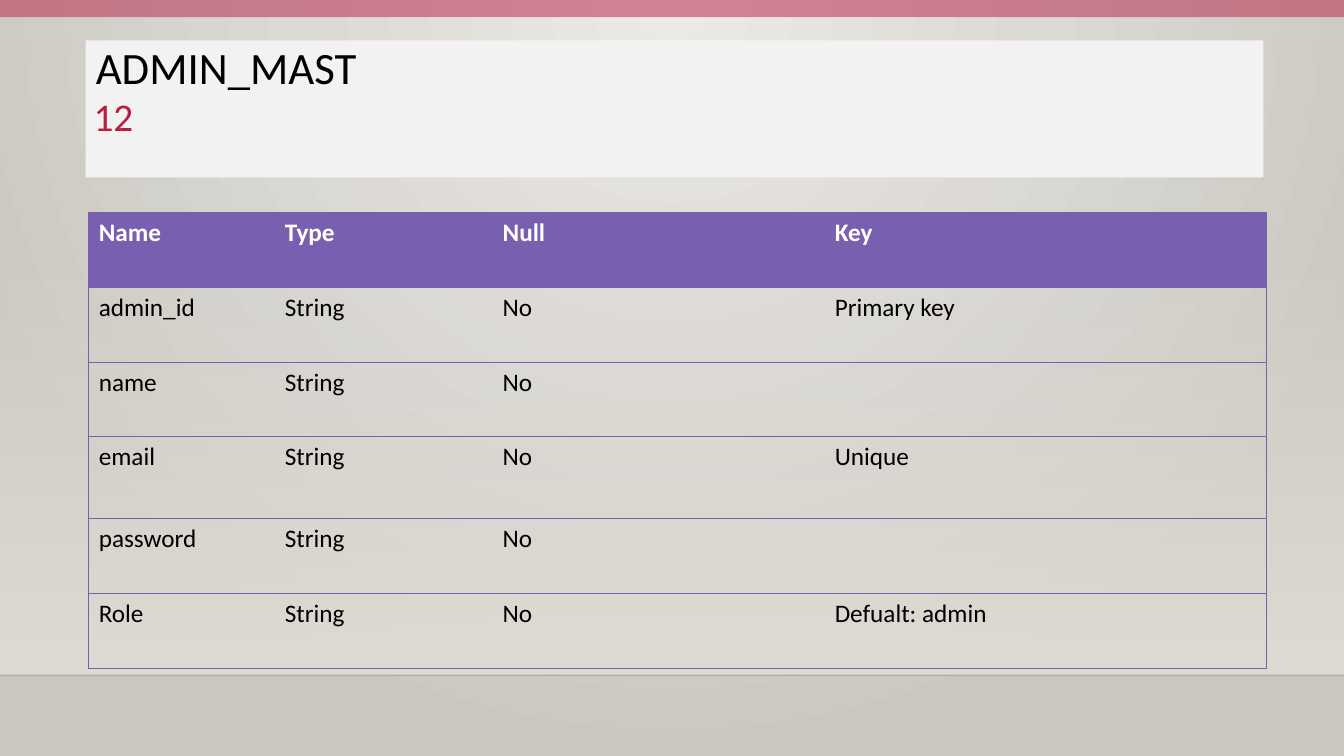
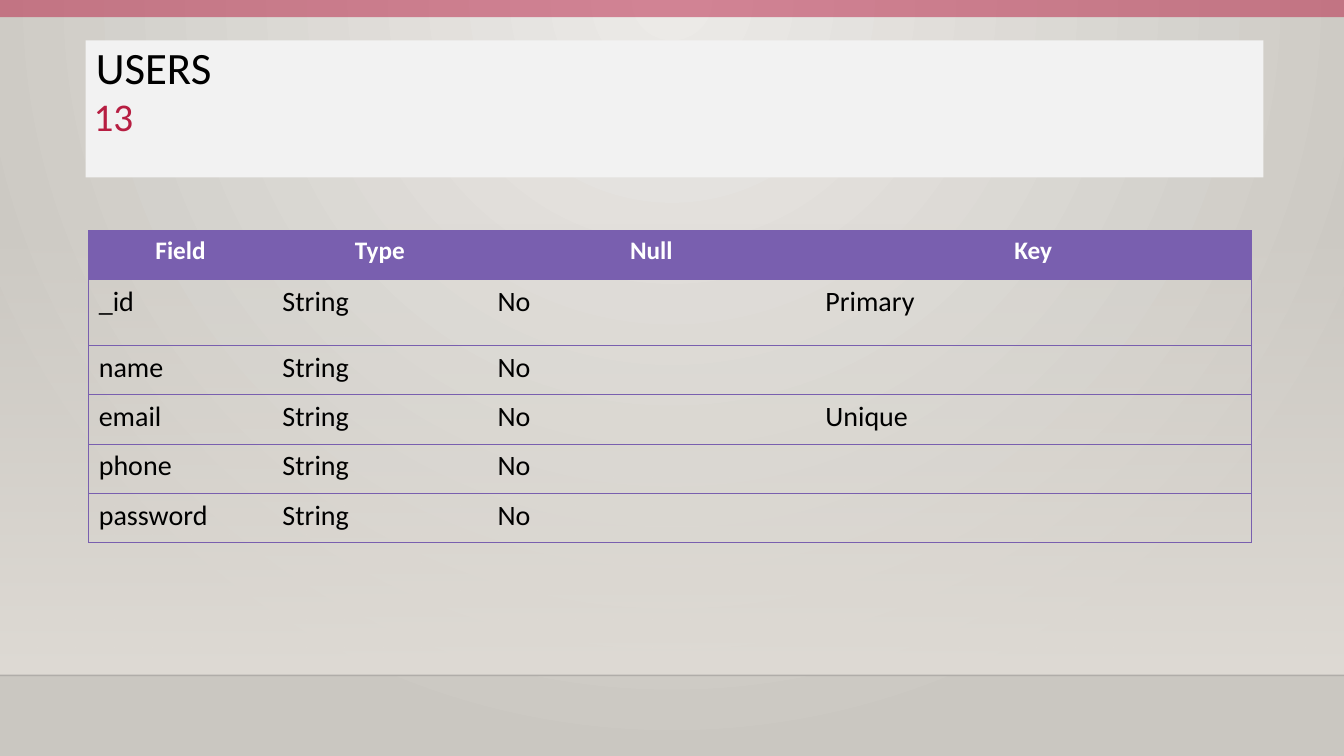
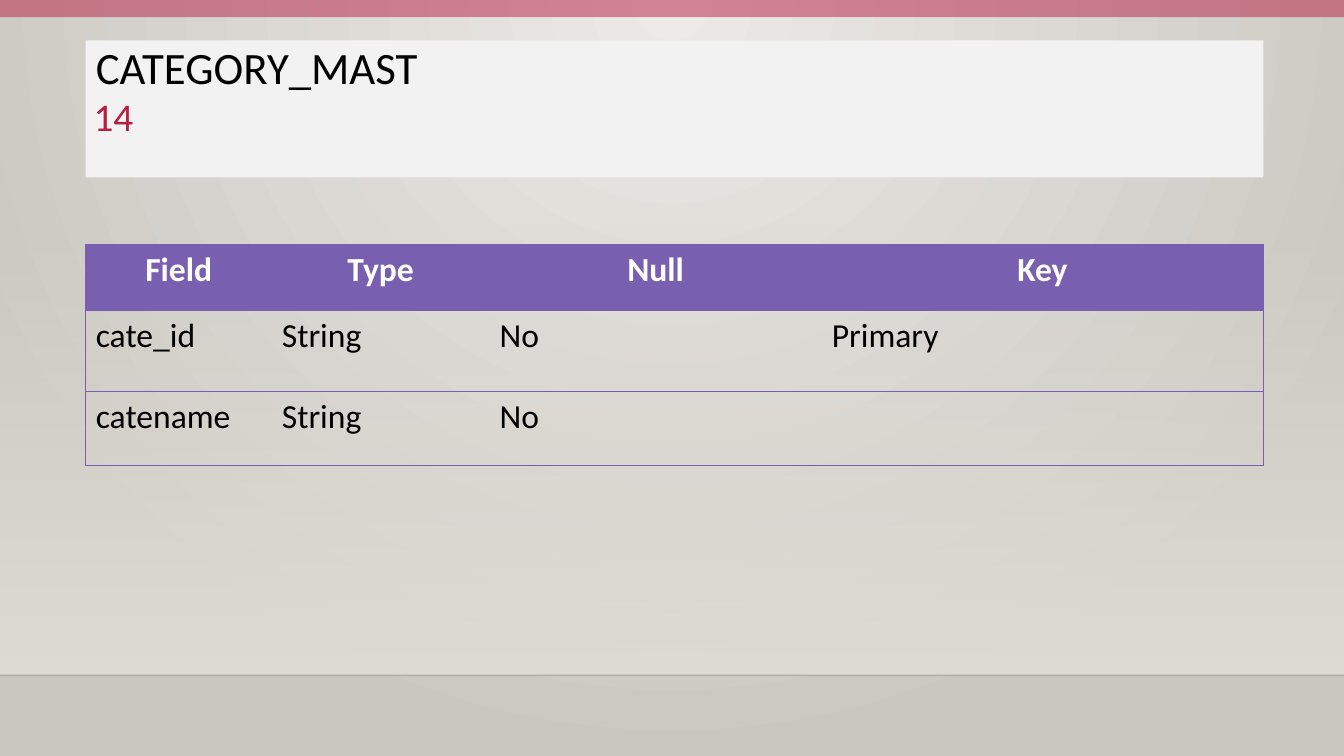
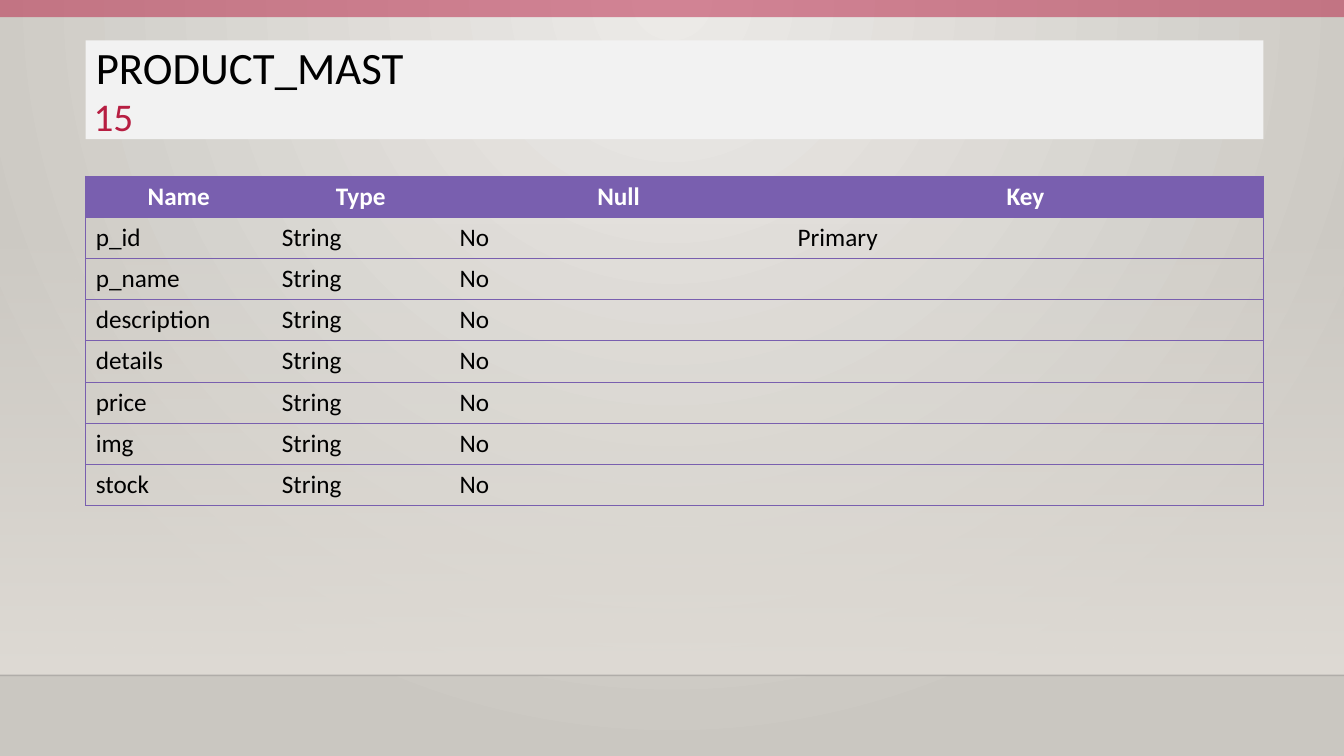
from lxml.etree import SubElement
from pptx import Presentation
from pptx.dml.color import RGBColor
from pptx.enum.shapes import MSO_CONNECTOR as Connector, MSO_SHAPE as Shape
from pptx.enum.text import MSO_ANCHOR as Anchor, MSO_AUTO_SIZE as AutoSize, PP_ALIGN as Align
from pptx.oxml import parse_xml
from pptx.oxml.ns import nsdecls, qn
from pptx.util import Inches, Pt

WIDTH, HEIGHT = Inches(13.33), Inches(7.5)
FONT = "Calibri"
COLORS = {
    "glow": "ECEAE7", "edge": "CAC7C1", "wall": "DFDBD5", "floor_line": "000001",
    "accent": "B71E42", "title_box": "F2F2F2", "table": "795FAF",
    "dark": "000000", "light": "FFFFFF",
}
PLAIN_TABLE_STYLE = "{2D5ABB26-0587-4C30-8999-92F81FD0307C}"
TABLE_COLUMNS = (15.8, 18.5, 28.2, 37.5)  # percent of the table width


def color(name):
    return RGBColor.from_string(COLORS[name])


def area(left, top, width, height):
    """Turn percentages of the slide into a box."""
    return [int(share * side / 100) for share, side in
            zip((left, top, width, height), (WIDTH, HEIGHT) * 2)]


def write(frame, text, size=18, ink="dark", bold=False, align=Align.LEFT, spacing=None):
    paragraph = frame.paragraphs[0]
    paragraph.alignment = align
    paragraph.line_spacing = spacing
    run = paragraph.add_run()
    run.text = text
    run.font.name, run.font.size, run.font.bold = FONT, Pt(size), bold
    run.font.color.rgb = color(ink)


def gradient(stops, direction):
    """Build a gradient fill from (position, colour, opacity) stops, in percent."""
    marks = "".join(
        f'<a:gs pos="{position * 1000}"><a:srgbClr val="{COLORS[name]}">'
        f'<a:alpha val="{opacity * 1000}"/></a:srgbClr></a:gs>'
        for position, name, opacity in stops)
    return parse_xml(f'<a:gradFill {nsdecls("a")} rotWithShape="1">'
                     f'<a:gsLst>{marks}</a:gsLst>{direction}</a:gradFill>')


def swap_solid_fill(element, new_fill):
    solid = next(element.iter(qn("a:solidFill")))
    solid.getparent().replace(solid, new_fill)


def set_opacity(element, percent):
    for tint in element.iter(qn("a:srgbClr")):
        SubElement(tint, qn("a:alpha"), val=str(percent * 1000))


def add_block(shapes, box, fill):
    block = shapes.add_shape(Shape.RECTANGLE, *box)
    block.shadow.inherit = False
    block.fill.solid()
    block.fill.fore_color.rgb = color(fill)
    block.line.fill.background()
    return block


def decorate_layout(layout, slide):
    """Draw the room on a slide, then move it behind everything on the layout."""
    # Background glow
    layout.background.fill.solid()
    layout.background.fill.fore_color.rgb = color("edge")
    swap_solid_fill(layout.element, gradient(
        [(0, "glow", 100), (100, "edge", 100)],
        '<a:path path="circle"><a:fillToRect l="43000" t="0" r="43000" b="100000"/></a:path>'))

    # Wall, fading in downwards
    wall = add_block(slide.shapes, area(0, 29.5, 100, 59.83), "wall")
    swap_solid_fill(wall.element.spPr, gradient(
        [(0, "wall", 0), (100, "wall", 100)], '<a:lin ang="5400000" scaled="0"/>'))

    # Floor line
    _, floor, right, _ = area(0, 89.33, 100, 0)
    line = slide.shapes.add_connector(Connector.STRAIGHT, 0, floor, right, floor)
    line.line.color.rgb = color("floor_line")
    line.line.width = Pt(1)
    set_opacity(line.element.spPr, 20)
    SubElement(line.element.spPr, qn("a:effectLst"))

    # Top band
    band = add_block(slide.shapes, area(0, 0, 100, 2.27), "accent")
    set_opacity(band.element.spPr, 50)

    for index, shape in enumerate((wall, line, band), start=2):
        layout.shapes.element.insert(index, shape.element)


def add_heading(slide, box, text, number):
    # Title panel
    title = slide.shapes.title
    title.left, title.top, title.width, title.height = box
    title.fill.solid()
    title.fill.fore_color.rgb = color("title_box")
    title.text_frame.auto_size = AutoSize.NONE
    title.text_frame.vertical_anchor = Anchor.TOP
    write(title.text_frame, text, size=32, spacing=0.9)

    # Slide number, hanging over the panel's left edge
    left, top = box[:2]
    _, drop, width, height = area(0, 6.27, 6.68, 7.33)
    number_box = slide.shapes.add_textbox(left - int(width * 0.36), top + drop, width, height)
    number_box.text_frame.word_wrap = True
    write(number_box.text_frame, str(number), size=28, ink="accent", align=Align.RIGHT)


def rule_cell(cell, sides):
    properties = cell._tc.get_or_add_tcPr()
    for index, side in enumerate(sides):
        properties.insert(index, parse_xml(
            f'<a:ln{side} {nsdecls("a")} w="9525"><a:solidFill>'
            f'<a:srgbClr val="{COLORS["table"]}"/></a:solidFill></a:ln{side}>'))


def add_field_table(slide, left, top, width, heights, rows, columns=TABLE_COLUMNS,
                    header_size=18, body_size=18, header_align=Align.CENTER):
    box = area(left, top, width, sum(heights))
    table = slide.shapes.add_table(len(rows), len(columns), *box).table
    table._tbl.tblPr.find(qn("a:tableStyleId")).text = PLAIN_TABLE_STYLE
    for column, share in zip(table.columns, columns):
        column.width = int(box[2] * share / 100)
    for row, height in zip(table.rows, heights):
        row.height = int(HEIGHT * height / 100)

    last = len(columns) - 1
    for row_index, values in enumerate(rows):
        for column_index in range(len(columns)):
            cell = table.cell(row_index, column_index)
            if row_index == 0:
                cell.fill.solid()
                cell.fill.fore_color.rgb = color("table")
                look = dict(size=header_size, ink="light", bold=True, align=header_align)
            else:
                cell.fill.background()
                look = dict(size=body_size)
            if column_index < len(values):
                write(cell.text_frame, values[column_index], **look)
            sides = ["L"] * (column_index == 0) + ["R"] * (column_index == last)
            rule_cell(cell, sides + ["T", "B"])


def string_fields(*names, **keys):
    """List required String fields, with the key of those that have one."""
    return [(name, "String", "No") + ((keys[name],) if name in keys else ())
            for name in names]


NAME_HEADER = ("Name", "Type", "Null", "Key")
FIELD_HEADER = ("Field", "Type", "Null", "Key")
FIRST_NUMBER = 12
SLIDES = [
    ("ADMIN_MAST", 18.13, dict(
        left=6.6, top=28.1, width=87.62, heights=[9.9, 9.9, 9.9, 10.85, 9.9, 9.9],
        header_align=Align.LEFT,
        rows=[NAME_HEADER] + string_fields(
            "admin_id", "name", "email", "password", "Role",
            admin_id="Primary key", email="Unique", Role="Defualt: admin"))),
    ("USERS", 18.13, dict(
        left=6.6, top=30.5, width=86.5, heights=[6.53, 8.67] + [6.53] * 4, body_size=20,
        rows=[FIELD_HEADER] + string_fields(
            "_id", "name", "email", "phone", "password", _id="Primary", email="Unique"))),
    ("CATEGORY_MAST", 18.13, dict(
        left=6.38, top=32.4, width=87.62, heights=[8.67, 10.67, 9.9],
        header_size=24, body_size=24,
        rows=[FIELD_HEADER] + string_fields("cate_id", "catename", cate_id="Primary"))),
    ("PRODUCT_MAST", 13.07, dict(
        left=6.38, top=23.3, width=87.62, heights=[5.45] * 8,
        columns=(15.8, 15.1, 28.7, 40.4),
        rows=[NAME_HEADER] + string_fields(
            "p_id", "p_name", "description", "details", "price", "img", "stock",
            p_id="Primary"))),
]


def main():
    presentation = Presentation()
    presentation.slide_width, presentation.slide_height = WIDTH, HEIGHT
    layout = presentation.slide_layouts.get_by_name("Title Only")
    for number, (title, title_height, table) in enumerate(SLIDES, FIRST_NUMBER):
        slide = presentation.slides.add_slide(layout)
        if number == FIRST_NUMBER:
            decorate_layout(layout, slide)
        add_heading(slide, area(6.38, 5.33, 87.62, title_height), title, number)
        add_field_table(slide, **table)
    presentation.save("out.pptx")


if __name__ == "__main__":
    main()
